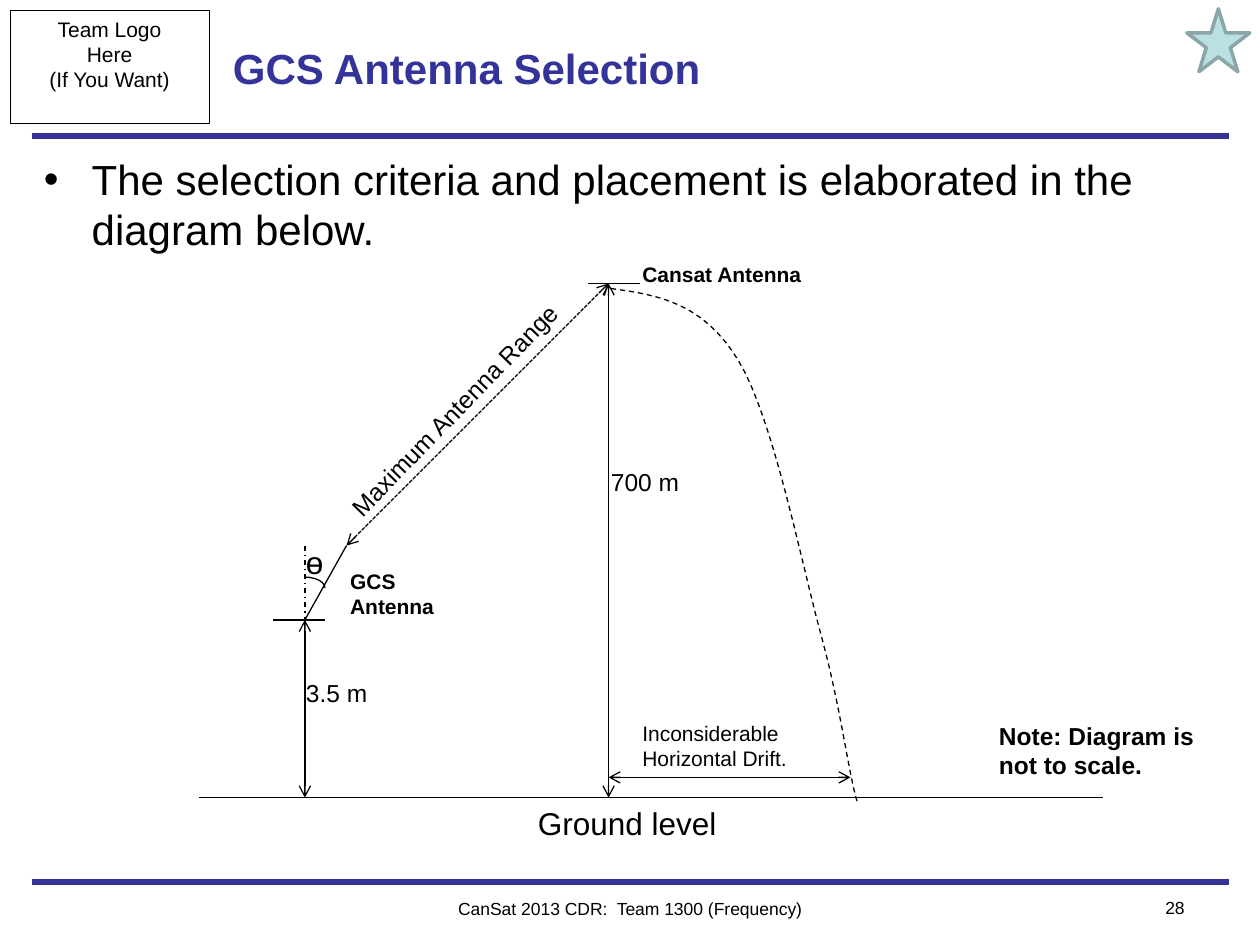
"""Build the GCS antenna selection slide with its range diagram."""
from pptx import Presentation
from pptx.dml.color import RGBColor
from pptx.enum.dml import MSO_LINE as DASH
from pptx.enum.shapes import MSO_CONNECTOR, MSO_SHAPE as SHAPE
from pptx.enum.text import MSO_ANCHOR as ANCHOR, PP_ALIGN as ALIGN
from pptx.oxml.ns import qn
from pptx.util import Pt
from lxml.etree import SubElement

PX = 9144
BLACK, NAVY = "000000", "333399"
color = RGBColor.from_string

deck = Presentation()
deck.slide_width, deck.slide_height = 1000 * PX, 750 * PX
page = deck.slides.add_slide(deck.slide_layouts[6])
shapes = page.shapes


def write(shape, text, size=12, bold=False, ink=BLACK, align=ALIGN.LEFT,
          anchor=ANCHOR.TOP, wrap=True):
    frame = shape.text_frame
    frame.word_wrap, frame.vertical_anchor = wrap, anchor
    frame.text = text
    for para in frame.paragraphs:
        para.alignment = align
        for span in para.runs:
            span.font.name, span.font.size, span.font.bold = "Arial", Pt(size), bold
            span.font.color.rgb = color(ink)
    return frame


def outline(shape, ink=BLACK, width=0.75, dash=None):
    shape.line.color.rgb = color(ink)
    shape.line.width = Pt(width)
    if dash:
        shape.line.dash_style = dash


lines = [
    (25, 700, 975, 700, NAVY, 3, None, False),
    (25, 108, 975, 108, NAVY, 3, None, False),
    (158, 633, 875, 633, BLACK, 0.75, None, False),
    (483, 633, 483, 225, BLACK, 0.75, None, True),
    (242, 633, 242, 492, BLACK, 0.75, None, True),
    (217, 492, 258, 492, BLACK, 0.75, None, False),
    (242, 492, 275, 433, BLACK, 0.75, None, False),
    (242, 433, 242, 492, BLACK, 0.75, DASH.DASH_DOT, False),
    (467, 225, 508, 225, BLACK, 0.75, None, False),
    (275, 433, 483, 225, BLACK, 0.75, DASH.SQUARE_DOT, True),
    (483, 617, 675, 617, BLACK, 0.75, None, True),
]
for x1, y1, x2, y2, ink, width, dash, arrows in lines:
    line = shapes.add_connector(
        MSO_CONNECTOR.STRAIGHT, x1 * PX, y1 * PX, x2 * PX, y2 * PX)
    outline(line, ink, width, dash)
    properties = line._element.spPr
    if arrows:
        for end in ("a:headEnd", "a:tailEnd"):
            SubElement(properties.find(qn("a:ln")), qn(end), type="arrow")
    SubElement(properties, qn("a:effectLst"))

logo = shapes.add_shape(SHAPE.RECTANGLE, 8 * PX, 8 * PX, 158 * PX, 90 * PX)
star = shapes.add_shape(SHAPE.STAR_5_POINT, 942 * PX, 7 * PX, 50 * PX, 50 * PX)
angle = shapes.add_shape(SHAPE.ARC, 225 * PX, 458 * PX, 33 * PX, 17 * PX)
for shape, ink, width in ((logo, BLACK, 0.5), (star, "8AA6A8", 2), (angle, BLACK, 0.75)):
    shape.shadow.inherit = False
    shape.fill.background()
    outline(shape, ink, width)
star.fill.solid()
star.fill.fore_color.rgb = color("BBE0E3")
write(logo, "Team Logo\nHere\n(If You Want)", align=ALIGN.CENTER, wrap=False)

start = (485, 229)
curves = [
    ((522, 234), (558, 240), (586, 286)),
    ((614, 332), (636, 447), (652, 505)),
    ((668, 564), (674, 618), (681, 638)),
]
steps = 16
points = []
corner = start
for curve in curves:
    for step in range(1, steps + 1):
        t = step / steps
        weights = ((1 - t) ** 3, 3 * t * (1 - t) ** 2, 3 * t * t * (1 - t), t ** 3)
        points.append(tuple(
            round(PX * sum(w * p[axis] for w, p in zip(weights, (corner, *curve))))
            for axis in (0, 1)))
    corner = curve[-1]
builder = shapes.build_freeform(start[0] * PX, start[1] * PX)
builder.add_line_segments(points, close=False)
descent = builder.convert_to_shape()
descent.shadow.inherit = False
descent.fill.background()
outline(descent, dash=DASH.DASH)

labels = [
    ("GCS Antenna Selection", 175, 8, 592, 92,
     dict(size=24, bold=True, ink=NAVY, anchor=ANCHOR.MIDDLE)),
    ("CanSat 2013 CDR:  Team 1300 (Frequency)", 300, 708, 400, 27,
     dict(size=10, align=ALIGN.CENTER)),
    ("28", 875, 707, 75, 27, dict(size=10, align=ALIGN.RIGHT)),
    ("Ground level", 417, 633, 292, 40, dict(size=18)),
    ("ɵ", 233, 426, 34, 40, dict(size=18, wrap=False)),
    ("Cansat Antenna", 500, 203, 167, 30, dict(bold=True)),
    ("GCS Antenna", 268, 446, 91, 50, dict(bold=True)),
    ("700 m", 475, 366, 75, 34, dict(size=14)),
    ("3.5 m", 233, 533, 75, 34, dict(size=14)),
    ("Inconsiderable Horizontal Drift.", 500, 567, 150, 50, {}),
    ("Note: Diagram is not to scale.", 783, 567, 200, 57, dict(size=14, bold=True)),
]
for text, x, y, width, height, style in labels:
    box = shapes.add_textbox(x * PX, y * PX, width * PX, height * PX)
    write(box, text, **style)

reach = shapes.add_textbox(235 * PX, 300 * PX, 268 * PX, 34 * PX)
reach.rotation = 314.2
write(reach, "Maximum Antenna Range", size=14)

body = shapes.add_textbox(25 * PX, 117 * PX, 950 * PX, 567 * PX)
para = write(
    body, "The selection criteria and placement is elaborated in the diagram below.",
    size=24).paragraphs[0]
para.space_before = Pt(5)
bullet = para._p.get_or_add_pPr()
bullet.set("marL", str(38 * PX))
bullet.set("indent", str(-38 * PX))
SubElement(bullet, qn("a:buFont"), typeface="Arial")
SubElement(bullet, qn("a:buChar"), char="•")

deck.save("out.pptx")
